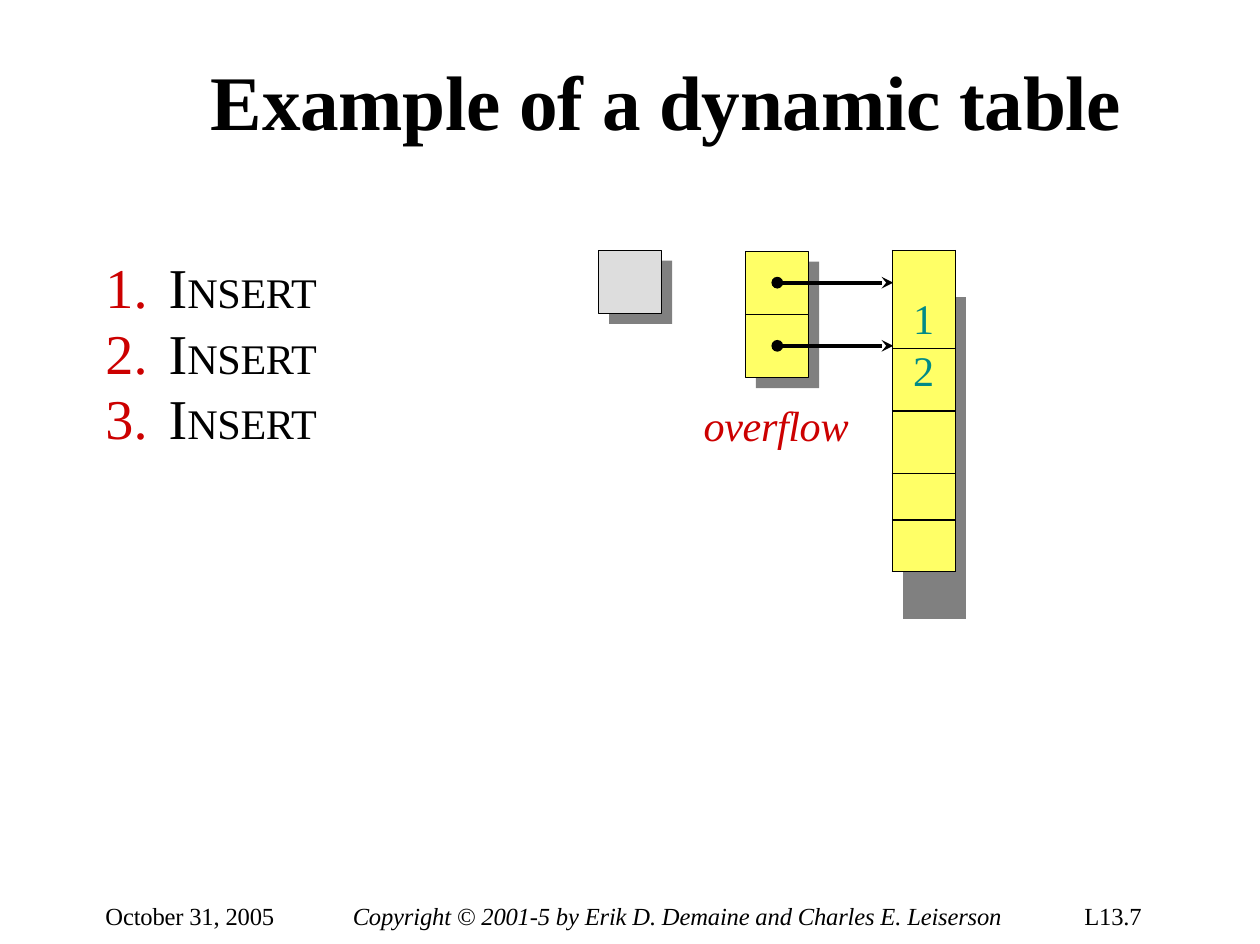
import pptx
import pptx.util
import pptx.dml.color
import pptx.enum.shapes
import pptx.oxml
import pptx.oxml.ns

Cm, Pt = pptx.util.Cm, pptx.util.Pt
qn = pptx.oxml.ns.qn
RGB = pptx.dml.color.RGBColor.from_string
COLORS = {"black": "000000", "red": "CC0000", "teal": "008A87",
          "gray": "DDDDDD", "yellow": "FFFF66", "shadow": "808080"}

deck = pptx.Presentation()
deck.slide_width, deck.slide_height = Cm(25.32), Cm(18.97)
slide = deck.slides.add_slide(deck.slide_layouts[6])
shapes = slide.shapes


def write(paragraph, text, size=24, color="black", bold=False, italic=False, spacing=0):
    run = paragraph.add_run()
    run.text = text
    run.font.name = "Times New Roman"
    run.font.size = Pt(size)
    run.font.bold = bold
    run.font.italic = italic
    run.font.color.rgb = RGB(COLORS[color])
    run._r.get_or_add_rPr().set("spc", str(spacing))


def text_frame(left, top, width, height):
    frame = shapes.add_textbox(Cm(left), Cm(top), Cm(width), Cm(height)).text_frame
    frame.margin_left = frame.margin_right = frame.margin_top = frame.margin_bottom = 0
    frame.word_wrap = True
    return frame


labels = [
    ("Example of a dynamic table", (4.24, 1.07, 20, 1.85),
     {"size": 44, "bold": True, "spacing": -20}),
    ("overflow", (14.14, 8.02, 3.2, 1.04), {"color": "red", "italic": True, "spacing": -20}),
    ("October 31, 2005", (2.12, 18.1, 4, 0.64), {"size": 14, "spacing": -10}),
    ("Copyright © 2001-5 by Erik D. Demaine and Charles E. Leiserson",
     (7.09, 18.1, 14, 0.64), {"size": 14, "italic": True, "spacing": -10}),
    ("L13.7", (21.79, 18.1, 2, 0.64), {"size": 14, "spacing": -10}),
]
for text, place, style in labels:
    write(text_frame(*place).paragraphs[0], text, **style)

operations = text_frame(2.07, 5.08, 6, 4)
for number in range(3):
    operation = operations.add_paragraph() if number else operations.paragraphs[0]
    if number:
        operation.line_spacing = Pt(37.1)
    write(operation, "I", size=32, spacing=-20)
    write(operation, "NSERT", spacing=-20)
    properties = operation._p.get_or_add_pPr()
    properties.set("marL", str(Cm(1.32)))
    properties.set("indent", str(-Cm(1.27)))
    bullet_color = pptx.oxml.parse_xml(
        f'<a:buClr {pptx.oxml.ns.nsdecls("a")}><a:srgbClr val="{COLORS["red"]}"/></a:buClr>')
    properties.append(bullet_color)
    numbering = properties.makeelement(qn("a:buAutoNum"), {"type": "arabicPeriod"})
    properties.append(numbering)

slot, offset = 1.27, 0.21
for left, top, color in [(12.03, 5.03, "gray"), (14.98, 5.05, "yellow"),
                         (14.98, 5.05 + slot, "yellow")]:
    for shift, fill in [(offset, "shadow"), (0, color)]:
        square = shapes.add_shape(pptx.enum.shapes.MSO_SHAPE.RECTANGLE, Cm(left + shift),
                                  Cm(top + shift), Cm(slot), Cm(slot))
        square.shadow.inherit = False
        square.fill.solid()
        square.fill.fore_color.rgb = RGB(COLORS[fill])
        if shift:
            square.line.fill.background()
        else:
            square.line.color.rgb = RGB(COLORS["black"])
            square.line.width = Pt(0.75)

for row in range(2):
    height = Cm(5.68 + row * slot)
    move = shapes.add_connector(pptx.enum.shapes.MSO_CONNECTOR.STRAIGHT,
                                Cm(15.62), height, Cm(17.95), height)
    move.line.color.rgb = RGB(COLORS["black"])
    move.line.width = Pt(2.25)
    line = move.line._get_or_add_ln()
    for end, head in [("a:headEnd", "oval"), ("a:tailEnd", "stealth")]:
        line.append(line.makeelement(qn(end), {"type": head, "w": "med", "len": "med"}))
    effects = move._element.spPr
    effects.append(effects.makeelement(qn("a:effectLst"), {}))

row_heights = [0.94, 1.04, 1.25, 1.25, 0.94, 1.04, 0.94]
column_widths = [offset, slot - offset, offset]
values = {(1, 1): "1", (2, 1): "2"}
last_row, last_column = len(row_heights) - 1, len(column_widths) - 1
new_table = shapes.add_table(len(row_heights), len(column_widths), Cm(17.93), Cm(5.03),
                             Cm(sum(column_widths)), Cm(sum(row_heights))).table
new_table.first_row = new_table.horz_banding = False
for column, width in enumerate(column_widths):
    new_table.columns[column].width = Cm(width)
for row, height in enumerate(row_heights):
    new_table.rows[row].height = Cm(height)
    for column in range(len(column_widths)):
        cell = new_table.cell(row, column)
        cell.margin_left = cell.margin_right = cell.margin_top = cell.margin_bottom = 0
        in_slots = row < last_row and column < last_column
        borders = {
            "L": row < last_row and column in (0, last_column),
            "R": row < last_row and column == 1,
            "T": column < last_column and row != 1,
            "B": in_slots and row > 0,
        }
        for side, visible in borders.items():
            paint = (f'<a:solidFill><a:srgbClr val="{COLORS["black"]}"/></a:solidFill>'
                     if visible else "<a:noFill/>")
            cell._tc.get_or_add_tcPr().append(pptx.oxml.parse_xml(
                f'<a:ln{side} {pptx.oxml.ns.nsdecls("a")} w="{Pt(0.75)}">{paint}</a:ln{side}>'))
        if in_slots or (row > 0 and column == last_column) or (row == last_row and column > 0):
            cell.fill.solid()
            cell.fill.fore_color.rgb = RGB(COLORS["yellow" if in_slots else "shadow"])
        else:
            cell.fill.background()
        if (row, column) in values:
            cell.margin_left = Cm(0.21)
            write(cell.text_frame.paragraphs[0], values[row, column], color="teal")

deck.save("out.pptx")
